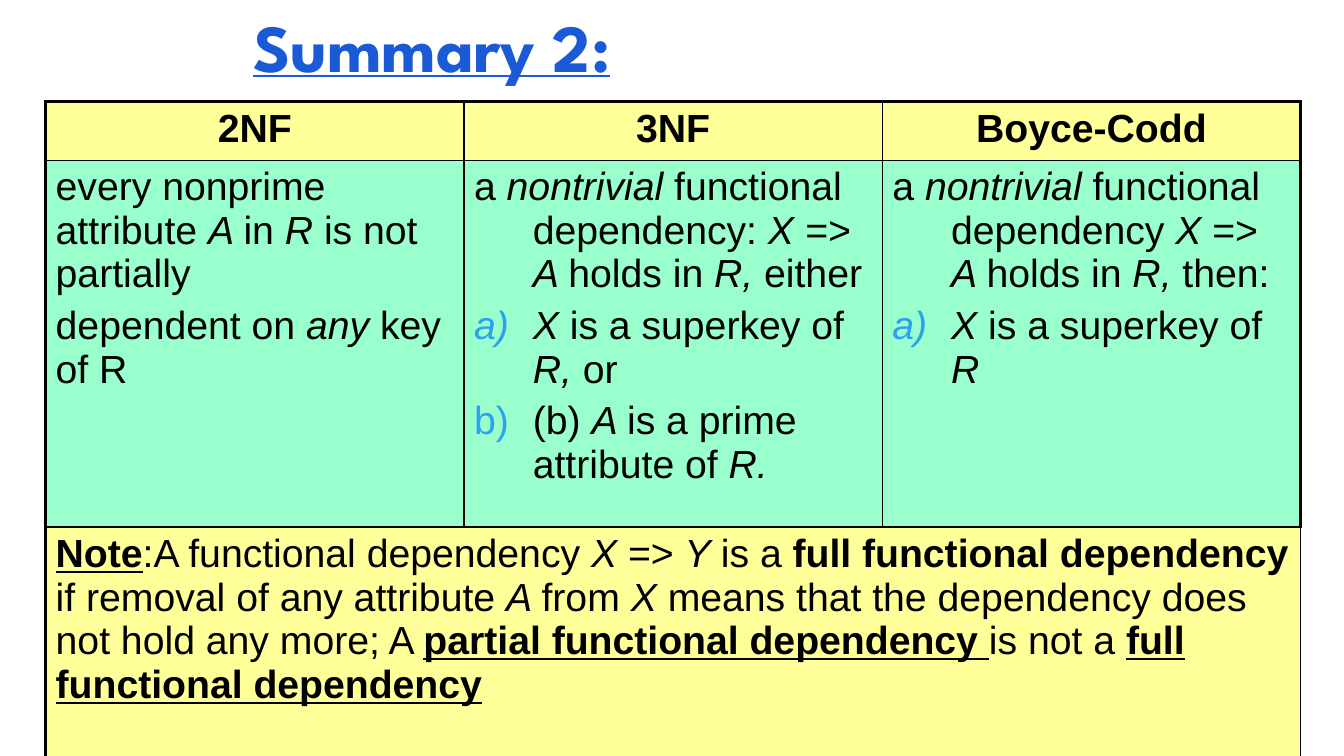
from typing import NamedTuple

from lxml import etree
from pptx import Presentation
from pptx.dml.color import RGBColor
from pptx.enum.text import MSO_ANCHOR, PP_ALIGN
from pptx.oxml.ns import qn
from pptx.util import Pt

TOP = MSO_ANCHOR.TOP
LEFT = PP_ALIGN.LEFT
MID = PP_ALIGN.CENTER

HUES = {
    "title": "1B5AD7",
    "text": "000000",
    "head": "FFFF99",
    "body": "99FFCC",
    "mark": "2DA0F1",
    "line": "000000",
}
WIDE, HIGH = 960, 540
COL = 298.8
ROWS = (41.8, 262.1, 218.9)
THICK, THIN = 2.21, 0.96
HANG = 42


class Piece(NamedTuple):
    """A run of text; style holds any of the letters b, i and u."""
    text: str
    style: str = ""


class Para(NamedTuple):
    pieces: list[Piece]
    align: int = LEFT
    hang: float = 0
    mark: bool = False


class Box(NamedTuple):
    row: int
    col: int
    fill: str
    paras: list[Para]


def head(text: str) -> list[Para]:
    return [Para([Piece(text, "b")], MID)]


BOXES = [
    Box(0, 0, "head", head("2NF")),
    Box(0, 1, "head", head("3NF")),
    Box(0, 2, "head", head("Boyce-Codd")),
    Box(1, 0, "body", [
        Para([Piece("every nonprime attribute "), Piece("A ", "i"),
              Piece("in "), Piece("R ", "i"), Piece("is not partially")]),
        Para([Piece("dependent on "), Piece("any ", "i"),
              Piece("key of R")]),
    ]),
    Box(1, 1, "body", [
        Para([Piece("a "), Piece("nontrivial ", "i"),
              Piece("functional dependency: "), Piece("X => A ", "i"),
              Piece("holds in "), Piece("R, ", "i"), Piece("either")],
             hang=HANG),
        Para([Piece("X ", "i"), Piece("is a superkey of "),
              Piece("R, ", "i"), Piece("or")], hang=HANG, mark=True),
        Para([Piece("(b) "), Piece("A ", "i"),
              Piece("is a prime attribute of "), Piece("R.", "i")],
             hang=HANG, mark=True),
    ]),
    Box(1, 2, "body", [
        Para([Piece("a "), Piece("nontrivial ", "i"),
              Piece("functional dependency "), Piece("X ", "i"),
              Piece("=> "), Piece("A ", "i"), Piece("holds in "),
              Piece("R, ", "i"), Piece("then:")], hang=HANG),
        Para([Piece("X ", "i"), Piece("is a superkey of "),
              Piece("R", "i")], hang=HANG, mark=True),
    ]),
    Box(2, 0, "head", [
        Para([Piece("Note", "bu"), Piece(":A functional dependency "),
              Piece("X ", "i"), Piece("=> "), Piece("Y ", "i"),
              Piece("is a "), Piece("full functional dependency ", "b"),
              Piece("if removal of any attribute "), Piece("A ", "i"),
              Piece("from "), Piece("X ", "i"),
              Piece("means that the dependency does not hold any more; A "),
              Piece("partial functional dependency ", "bu"),
              Piece("is not a "),
              Piece("full functional dependency", "bu")]),
    ]),
]


def style(run, face: str, size: float, hue: str, marks: str) -> None:
    font = run.font
    font.name, font.size = face, Pt(size)
    font.color.rgb = RGBColor.from_string(HUES[hue])
    font.bold, font.italic = "b" in marks, "i" in marks
    font.underline = "u" in marks


def tint(node, hue: str) -> None:
    etree.SubElement(node, qn("a:srgbClr"), val=HUES[hue])


def write(line, para: Para) -> None:
    line.alignment = para.align
    line.space_before = Pt(5.6)
    props = line._p.get_or_add_pPr()
    props.set("marL", str(Pt(para.hang)))
    props.set("indent", str(-Pt(para.hang)))
    if para.mark:
        tint(etree.SubElement(props, qn("a:buClr")), "mark")
        etree.SubElement(props, qn("a:buAutoNum"), type="alphaLcParenR")
    for piece in para.pieces:
        run = line.add_run()
        run.text = piece.text
        style(run, "Arial", 28, "text", piece.style)


def rule(cell, row: int, col: int) -> None:
    """Draw thick lines on the outer edges and thin ones inside."""
    props = cell._tc.get_or_add_tcPr()
    outer = {"L": col == 0, "R": col == 2, "T": row == 0, "B": row == 2}
    for spot, (side, edge) in enumerate(outer.items()):
        line = etree.Element(qn(f"a:ln{side}"),
                             w=str(Pt(THICK if edge else THIN)))
        tint(etree.SubElement(line, qn("a:solidFill")), "line")
        props.insert(spot, line)


def add_title(slide) -> None:
    box = slide.shapes.add_textbox(Pt(174), Pt(0), Pt(612), Pt(36))
    frame = box.text_frame
    frame.word_wrap, frame.vertical_anchor = True, TOP
    frame.text = "Summary 2:"
    style(frame.paragraphs[0].runs[0], "League Spartan", 48, "title", "bu")


def add_grid(slide) -> None:
    grid = slide.shapes.add_table(
        3, 3, Pt(32.6), Pt(72.6), Pt(3 * COL), Pt(sum(ROWS))).table
    grid.first_row = grid.horz_banding = False
    for col in grid.columns:
        col.width = Pt(COL)
    for row, high in zip(grid.rows, ROWS):
        row.height = Pt(high)
    grid.cell(2, 0).merge(grid.cell(2, 2))
    for row in range(3):
        for col in range(3):
            rule(grid.cell(row, col), row, col)
    for box in BOXES:
        cell = grid.cell(box.row, box.col)
        cell.fill.solid()
        cell.fill.fore_color.rgb = RGBColor.from_string(HUES[box.fill])
        frame = cell.text_frame
        for spot, para in enumerate(box.paras):
            line = frame.add_paragraph() if spot else frame.paragraphs[0]
            write(line, para)


def main() -> None:
    deck = Presentation()
    deck.slide_width, deck.slide_height = Pt(WIDE), Pt(HIGH)
    slide = deck.slides.add_slide(deck.slide_layouts[6])
    add_title(slide)
    add_grid(slide)
    deck.save("out.pptx")


if __name__ == "__main__":
    main()
